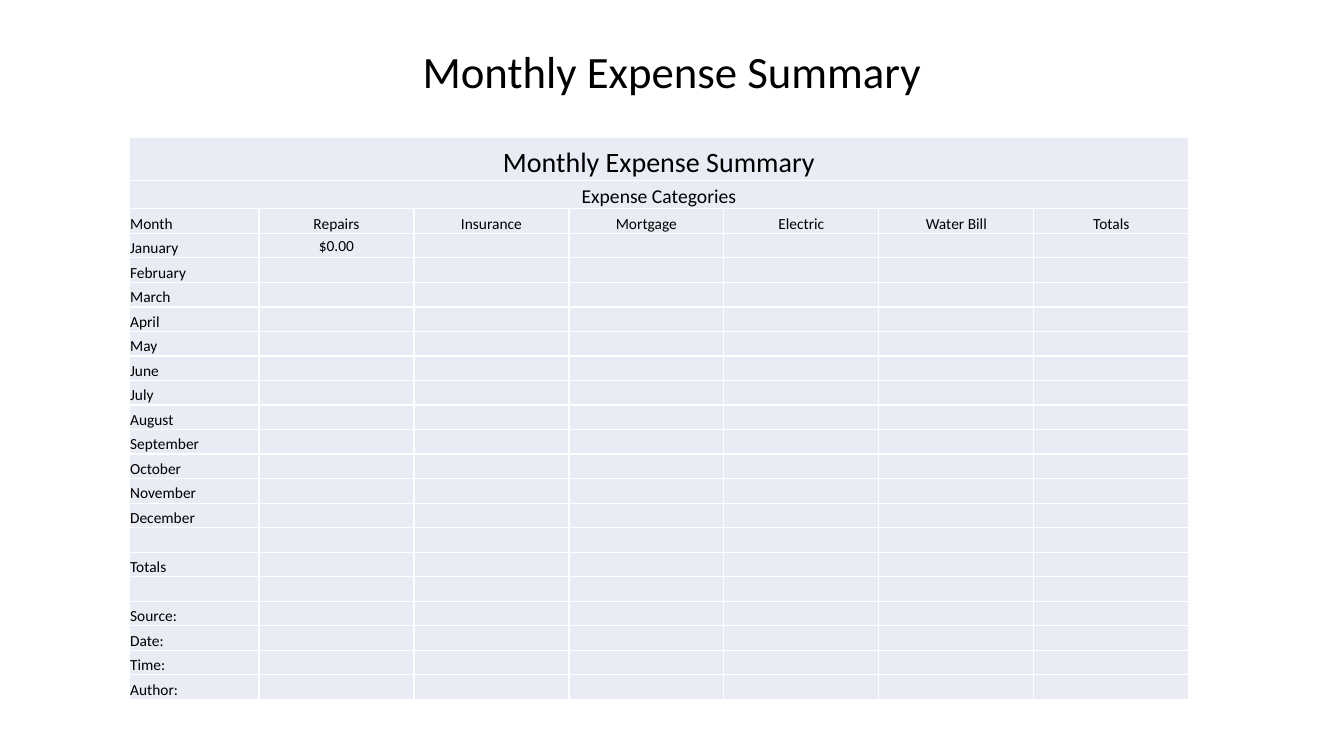
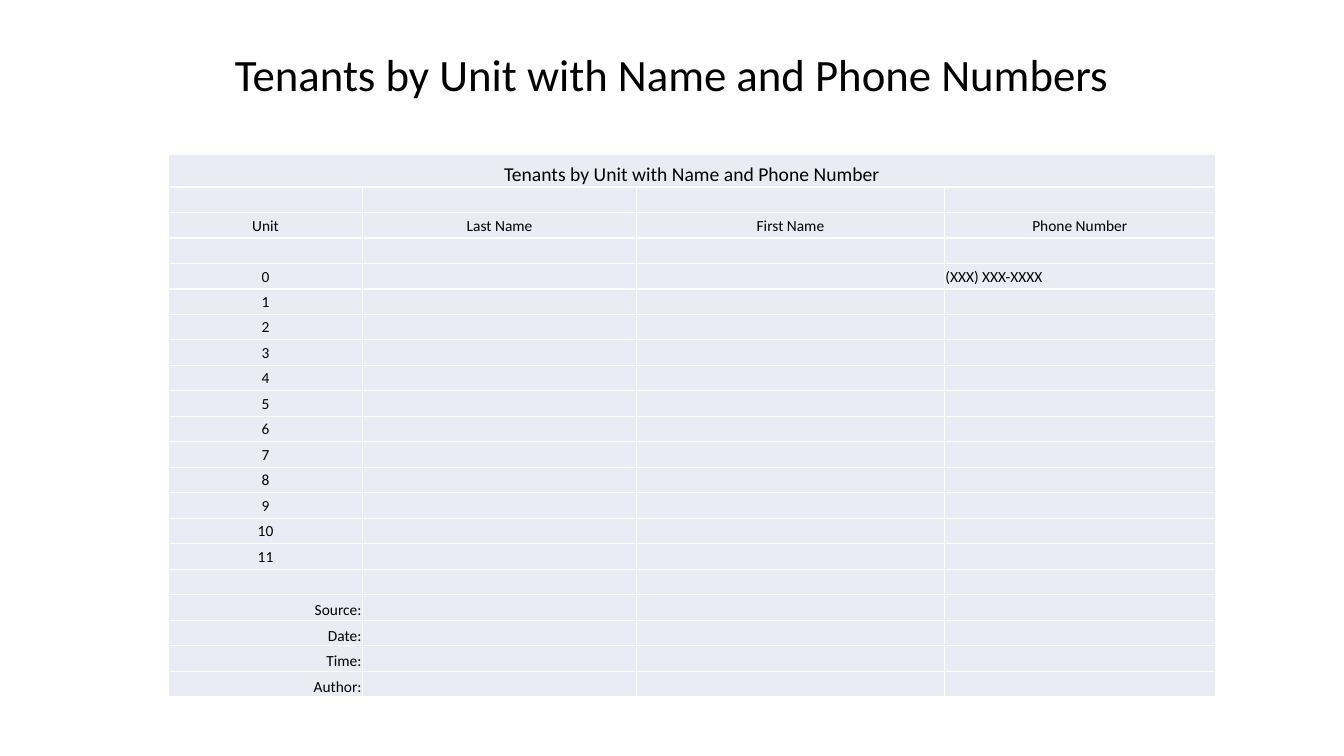
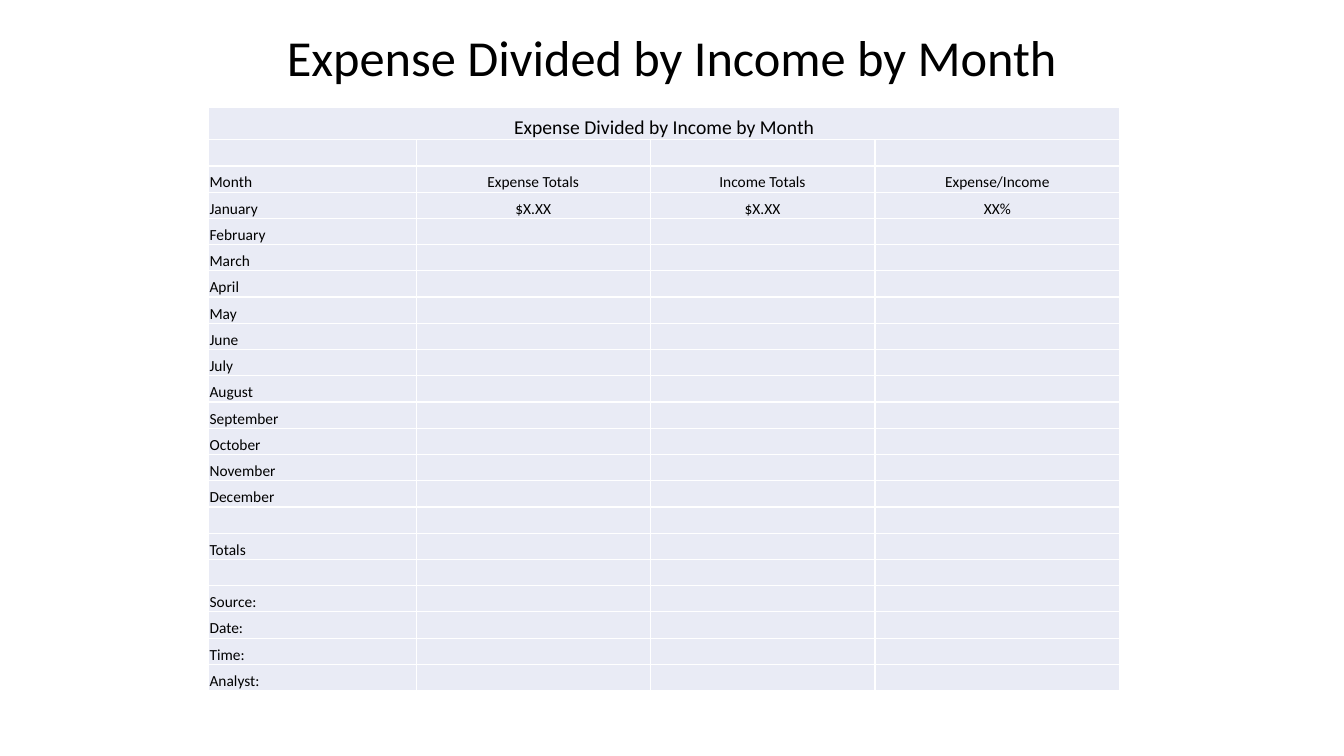
from dataclasses import dataclass, field

from lxml.etree import SubElement
from pptx import Presentation
from pptx.dml.color import RGBColor
from pptx.enum.text import MSO_ANCHOR as Anchor, PP_ALIGN as Align
from pptx.oxml.ns import qn
from pptx.util import Pt

FONT = "Calibri"
INK = RGBColor(0x00, 0x00, 0x00)
WHITE = RGBColor(0xFF, 0xFF, 0xFF)
CELL_FILL = RGBColor(0xE9, 0xEB, 0xF5)
BODY_SIZE = 11
CELL_INSET = 0.72
TITLE_LEFT, TITLE_WIDTH = 66, 828

MONTHS = ["January", "February", "March", "April", "May", "June", "July",
          "August", "September", "October", "November", "December"]


@dataclass(frozen=True)
class Cell:
    text: str = ""
    align: Align = Align.LEFT
    anchor: Anchor = Anchor.BOTTOM


@dataclass(frozen=True)
class Banner:
    """A row merged across the whole table."""
    text: str
    size: float
    height: float


@dataclass(frozen=True)
class TableSlide:
    title: str
    title_top: float
    title_height: float
    left: float
    top: float
    columns: list[float]
    row_height: float
    banners: list[Banner]
    rows: list[list[Cell]]
    title_size: float = 32


def centred(*texts: str, anchor: Anchor = Anchor.BOTTOM) -> list[Cell]:
    return [Cell(t, Align.CENTER, anchor) for t in texts]


def labels(*texts: str, align: Align = Align.LEFT) -> list[list[Cell]]:
    """Rows that have text in the first column only."""
    return [[Cell(t, align)] for t in texts]


def month_rows(headings: list[str], january: list[Cell], signer: str) -> list[list[Cell]]:
    return [
        [Cell("Month"), *centred(*headings)],
        [Cell(MONTHS[0]), *january],
        *labels(*MONTHS[1:], "", "Totals", "", "Source:", "Date:", "Time:", signer),
    ]


def unit_rows() -> list[list[Cell]]:
    middle = Anchor.MIDDLE
    units = [centred(str(n), anchor=middle) for n in range(12)]
    units[0] += [Cell(), Cell(), Cell("(XXX) XXX-XXXX", anchor=middle)]
    return [
        [],
        centred("Unit", "Last Name", "First Name", "Phone Number", anchor=middle),
        [],
        *units,
        [],
        *labels("Source:", "Date:", "Time:", "Author:", align=Align.RIGHT),
    ]


SLIDES = [
    TableSlide(
        "Monthly Expense Summary", 28.8, 48.2, 92.2, 98.2,
        [92.8] + [110.7] * 6, 17.52,
        [Banner("Monthly Expense Summary", 20, 30.8),
         Banner("Expense Categories", 14, 20.2)],
        month_rows(["Repairs", "Insurance", "Mortgage", "Electric", "Water Bill", "Totals"],
                   centred("$0.00", anchor=Anchor.MIDDLE), "Author:"),
    ),
    TableSlide(
        "Tenants by Unit with Name and Phone Numbers", 28.8, 51.8, 120.4, 110.6,
        [138.6, 195.8, 219.8, 193.6], 18.22,
        [Banner("Tenants by Unit with Name and Phone Number", 14, 23)],
        unit_rows(),
    ),
    TableSlide(
        "Expense Divided by Income by Month", 18.7, 48.2, 149, 76.4,
        [148.4, 167, 160.6, 175], 18.74,
        [Banner("Expense Divided by Income by Month", 14, 23.4)],
        [[]] + month_rows(["Expense Totals", "Income Totals", "Expense/Income"],
                          centred("$X.XX", "$X.XX", "XX%"), "Analyst:"),
        title_size=36,
    ),
]


def write(tf, text: str, *, size: float, align: Align = Align.CENTER,
          anchor: Anchor = Anchor.MIDDLE, spacing: float = 1.0) -> None:
    tf.word_wrap = True
    tf.vertical_anchor = anchor
    p = tf.paragraphs[0]
    p.alignment = align
    p.line_spacing = spacing
    r = p.add_run()
    r.text = text
    r.font.name, r.font.size, r.font.bold = FONT, Pt(size), False
    r.font.color.rgb = INK


def set_borders(cell) -> None:
    props = cell._tc.get_or_add_tcPr()
    for side in ("lnL", "lnR", "lnT", "lnB"):
        ln = SubElement(props, qn(f"a:{side}"), w=str(Pt(1)))
        SubElement(SubElement(ln, qn("a:solidFill")), qn("a:srgbClr"), val=str(WHITE))


def style_cell(cell) -> None:
    set_borders(cell)
    cell.fill.solid()
    cell.fill.fore_color.rgb = CELL_FILL
    cell.margin_left = cell.margin_right = cell.margin_top = Pt(CELL_INSET)
    cell.margin_bottom = 0
    end = cell.text_frame.paragraphs[0]._p.get_or_add_endParaRPr()
    end.set("sz", str(BODY_SIZE * 100))


def fill_cell(cell, text: str, size: float, align: Align, anchor: Anchor) -> None:
    write(cell.text_frame, text, size=size, align=align)
    cell.vertical_anchor = anchor


def add_title(s, spec_: TableSlide) -> None:
    box = s.shapes.add_textbox(Pt(TITLE_LEFT), Pt(spec_.title_top),
                               Pt(TITLE_WIDTH), Pt(spec_.title_height))
    write(box.text_frame, spec_.title, size=spec_.title_size, spacing=0.9)


def add_grid(s, content: TableSlide) -> None:
    heights = [b.height for b in content.banners] + [content.row_height] * len(content.rows)
    frame = s.shapes.add_table(len(heights), len(content.columns),
                               Pt(content.left), Pt(content.top),
                               Pt(sum(content.columns)), Pt(sum(heights)))
    table = frame.table
    table.first_row = table.horz_banding = False
    for column, width in zip(table.columns, content.columns):
        column.width = Pt(width)
    for row, height in zip(table.rows, heights):
        row.height = Pt(height)
    for cell in table.iter_cells():
        style_cell(cell)

    for i, banner in enumerate(content.banners):
        cell = table.cell(i, 0)
        cell.merge(table.cell(i, len(content.columns) - 1))
        fill_cell(cell, banner.text, banner.size, Align.CENTER, Anchor.BOTTOM)
    for i, row in enumerate(content.rows, start=len(content.banners)):
        for j, item in enumerate(row):
            if item.text:
                fill_cell(table.cell(i, j), item.text, BODY_SIZE, item.align, item.anchor)


def main() -> None:
    prs = Presentation()
    prs.slide_width, prs.slide_height = Pt(960), Pt(540)
    for content in SLIDES:
        s = prs.slides.add_slide(prs.slide_layouts[6])
        add_title(s, content)
        add_grid(s, content)
    prs.save("out.pptx")


if __name__ == "__main__":
    main()
